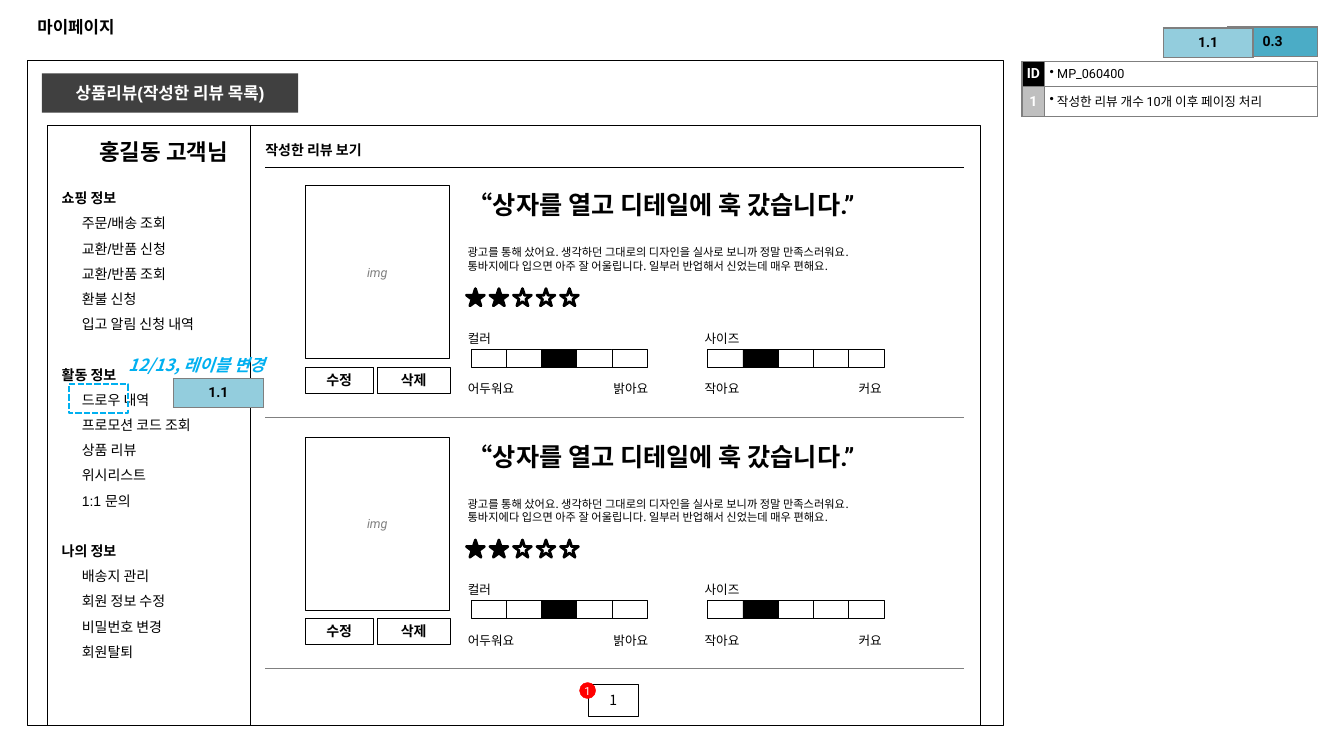
from pptx import Presentation
from pptx.util import Pt
from pptx.dml.color import RGBColor
from pptx.enum.dml import MSO_LINE
from pptx.enum.shapes import MSO_SHAPE, MSO_CONNECTOR
from pptx.enum.text import MSO_ANCHOR, PP_ALIGN
from pptx.oxml import parse_xml
from pptx.oxml.ns import nsdecls
from lxml.etree import SubElement

KOREAN = "Noto Sans CJK KR"
MENU = {
    "쇼핑 정보": ["주문/배송 조회", "교환/반품 신청", "교환/반품 조회", "환불 신청", "입고 알림 신청 내역"],
    "활동 정보": ["드로우 내역", "프로모션 코드 조회", "상품 리뷰", "위시리스트", "1:1 문의"],
    "나의 정보": ["배송지 관리", "회원 정보 수정", "비밀번호 변경", "회원탈퇴"],
}
QUOTE = "“상자를 열고 디테일에 훅 갔습니다.”"
REVIEW = ("광고를 통해 샀어요. 생각하던 그대로의 디자인을 실사로 보니까 정말 만족스러워요. "
          "통바지에다 입으면 아주 잘 어울립니다. 일부러 반업해서 신었는데 매우 편해요.")


def paint(format, color):
    format.solid()
    format.fore_color.rgb = RGBColor.from_string(color)


def style(para, size, font="Roboto", color="000000", bold=False, italic=False):
    para.font.size = Pt(size)
    para.font.name = font
    para.font.bold = bold
    para.font.italic = italic
    paint(para.font.fill, color)


def inset(frame, side, top):
    frame.margin_left = frame.margin_right = Pt(side)
    frame.margin_top = frame.margin_bottom = Pt(top)


def box(slide, x, y, w, h, fill=None, line=None, width=0.25, kind=MSO_SHAPE.RECTANGLE):
    shape = slide.shapes.add_shape(kind, Pt(x), Pt(y), Pt(w), Pt(h))
    shape.shadow.inherit = False
    if fill:
        paint(shape.fill, fill)
    else:
        shape.fill.background()
    if line:
        paint(shape.line.fill, line)
        shape.line.width = Pt(width)
    else:
        shape.line.fill.background()
    return shape


def label(shape, text, size, **look):
    frame = shape.text_frame
    frame.vertical_anchor = MSO_ANCHOR.MIDDLE
    para = frame.paragraphs[0]
    para.text = text
    para.alignment = PP_ALIGN.CENTER
    style(para, size, **look)


def write(slide, x, y, w, h, text, size, space=None, pad=None, wrap=True, **look):
    frame = slide.shapes.add_textbox(Pt(x), Pt(y), Pt(w), Pt(h)).text_frame
    frame.word_wrap = wrap
    if pad:
        inset(frame, pad, pad)
    para = frame.paragraphs[0]
    para.text = text
    if space:
        para.line_spacing = space
    style(para, size, **look)
    return frame


def rule(slide, y, color):
    line = slide.shapes.add_connector(MSO_CONNECTOR.STRAIGHT, Pt(189.5), Pt(y), Pt(688.5), Pt(y))
    paint(line.line.fill, color)
    line.line.width = Pt(0.75)
    SubElement(line._element.spPr, "{http://schemas.openxmlformats.org/drawingml/2006/main}effectLst")


def edge(cell):
    props = cell._tc.get_or_add_tcPr()
    for spot, side in enumerate(("lnL", "lnR", "lnT", "lnB")):
        props.insert(spot, parse_xml(
            f'<a:{side} {nsdecls("a")} w="12700"><a:solidFill>'
            f'<a:srgbClr val="7F7F7F"/></a:solidFill></a:{side}>'))


def grid(slide, x, y, cols, rows):
    table = slide.shapes.add_table(len(rows), len(cols), Pt(x), Pt(y), Pt(sum(cols)), Pt(sum(rows))).table
    for col, width in zip(table.columns, cols):
        col.width = Pt(width)
    for row, height in zip(table.rows, rows):
        row.height = Pt(height)
    return table


def badge(cell, text, fill, color="000000"):
    paint(cell.fill, fill)
    edge(cell)
    inset(cell, 0, 0)
    cell.vertical_anchor = MSO_ANCHOR.MIDDLE
    para = cell.text_frame.paragraphs[0]
    para.text = text
    para.alignment = PP_ALIGN.CENTER
    style(para, 10, color=color, bold=True)


def note(cell, text):
    cell.fill.background()
    edge(cell)
    inset(cell, 3.6, 3.6)
    para = cell.text_frame.paragraphs[0]
    para.text = text
    para._p.get_or_add_pPr().append(parse_xml(f'<a:buChar {nsdecls("a")} char="•"/>'))
    style(para, 9)


def tag(slide, x, y, text, fill):
    badge(grid(slide, x, y, [64], [21]).cell(0, 0), text, fill)


def legend(slide):
    table = grid(slide, 730, 44, [16.2, 194.8], [18, 21])
    rows = [("ID", "000000", " MP_060400"), ("1", "BFBFBF", " 작성한 리뷰 개수 10개 이후 페이징 처리")]
    for at, (key, fill, text) in enumerate(rows):
        badge(table.cell(at, 0), key, fill, "FFFFFF")
        note(table.cell(at, 1), text)


def menu(slide):
    frame = slide.shapes.add_textbox(Pt(37), Pt(126), Pt(142), Pt(340)).text_frame
    frame.word_wrap = True
    lines = [(text, text == head) for head, items in MENU.items() for text in [head, *items]]
    for at, (text, head) in enumerate(lines):
        para = frame.add_paragraph() if at else frame.paragraphs[0]
        para.text = text
        para.line_spacing = Pt(18)
        if head and at:
            para.space_before = Pt(18)
        if not head:
            para._p.get_or_add_pPr().set("marL", str(Pt(14.4)))
        style(para, 10, font="Arial", bold=head)


def scale(slide, x, y, name, low, high, gap, mark):
    for at in range(5):
        box(slide, x + 5 + at * 25.2, y + 21.5, 25.2, 12.5, "000000" if at == mark else "FFFFFF", "000000")
    write(slide, x, y, 126, 23, name, 9, space=1.5, pad=2.9)
    for left, text in ((x, low), (x + gap, high)):
        write(slide, left, y + 36, 42.5, 23, text, 9, space=1.5, pad=2.9)


def review(slide, y):
    photo = box(slide, 218, y, 103, 123.5, None, "000000")
    inset(photo.text_frame, 2.9, 2.9)
    label(photo, "img", 9, color="808080", italic=True)
    write(slide, 327, y - 0.5, 319, 39, QUOTE, 18, bold=True)
    write(slide, 327, y + 39.5, 319, 26, REVIEW, 8, font=KOREAN)
    rule(slide, y + 165.5, "808080")
    for x, w, text in ((218, 48.5, "수정"), (269.5, 52, "삭제")):
        label(box(slide, x, y + 129.5, w, 18.5, "FFFFFF", "000000"), text, 10, font=KOREAN, bold=True)
    for at in range(5):
        box(slide, 333.2 + at * 16.8, y + 73.7, 12.8, 12.3, "000000" if at < 2 else None,
            "000000", 2, MSO_SHAPE.STAR_5_POINT)
    scale(slide, 331.3, y + 95.5, "컬러", "어두워요", "밝아요", 104, 2)
    scale(slide, 500.4, y + 95.5, "사이즈", "작아요", "커요", 110, 1)


def main():
    deck = Presentation()
    deck.slide_width, deck.slide_height = Pt(960), Pt(540)
    slide = deck.slides.add_slide(deck.slide_layouts[5])

    title = slide.shapes.title
    title.left, title.top, title.width, title.height = Pt(19.5), Pt(5), Pt(921), Pt(28)
    label(title, "마이페이지", 12, font="Arial", bold=True)
    title.text_frame.paragraphs[0].alignment = PP_ALIGN.LEFT

    box(slide, 19.5, 43.2, 697.5, 475, None, "000000", 0.75)
    box(slide, 34, 89.5, 145, 428.5, "FFFFFF", "000000")
    label(box(slide, 30, 52.5, 183, 28, "404040"), "상품리뷰(작성한 리뷰 목록)", 12,
          font="Arial", color="FFFFFF", bold=True)
    legend(slide)
    menu(slide)
    write(slide, 64, 96, 124, 24, "홍길동 고객님", 16, space=Pt(18), font="Arial", bold=True)
    box(slide, 179, 89.5, 521, 428.5, "FFFFFF", "000000")
    head = write(slide, 182.5, 92, 142, 24, "작성한 리뷰 보기", 10, space=Pt(18), font="Arial", bold=True)
    head.vertical_anchor = MSO_ANCHOR.MIDDLE
    rule(slide, 119.5, "000000")

    tag(slide, 877, 19.3, "0.3", "4BACC6")
    label(box(slide, 420, 488.5, 36, 23, "FFFFFF", "000000"), "1", 10, font=KOREAN)
    dot = box(slide, 414, 487.5, 11.5, 11.5, "FF0000", "FF0000", kind=MSO_SHAPE.OVAL)
    label(dot, "1", 8, color="FFFFFF")
    dot.text_frame.word_wrap = False
    for y in (132.5, 312):
        review(slide, y)

    tag(slide, 831, 20, "1.1", "93CDDD")
    write(slide, 84.5, 250, 120, 21.5, "12/13, 레이블 변경", 12, wrap=False,
          font=KOREAN, color="00B0F0", bold=True, italic=True)
    frame = box(slide, 49, 274.5, 42.5, 20.5, None, "00B0F0", 1.5)
    frame.line.dash_style = MSO_LINE.SQUARE_DOT
    tag(slide, 124, 270.3, "1.1", "93CDDD")
    deck.save("out.pptx")


if __name__ == "__main__":
    main()
